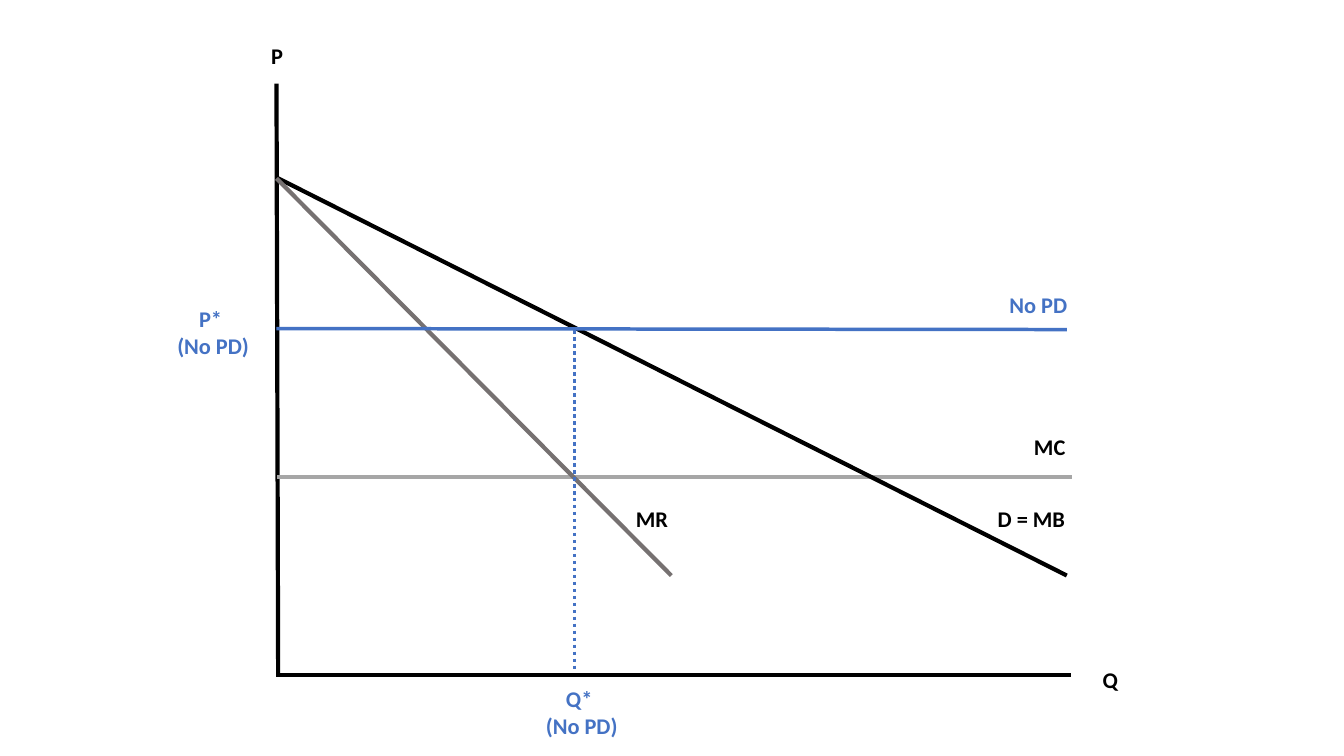
"""Draw a monopoly pricing diagram without price discrimination."""
from lxml import etree
from pptx import Presentation
from pptx.dml.color import RGBColor
from pptx.enum import dml, shapes, text
from pptx.oxml import ns
from pptx.util import Pt

COLOURS = {"black": "000000", "blue": "4472C4", "cost": "A6A6A6",
           "revenue": "767171", "white": "FFFFFF"}


class Diagram:
    """Hold the diagram style and its slide."""

    font, size = "Calibri", 16

    def __init__(self, slide):
        """Keep the slide to draw on."""
        self.slide = slide

    def colour(self, name):
        """Look up a named colour."""
        return RGBColor.from_string(COLOURS[name])

    def line(self, start, end, colour, width=3, dash=None):
        """Draw a straight line between two points."""
        curve = self.slide.shapes.add_connector(
            shapes.MSO_CONNECTOR.STRAIGHT, *map(Pt, start + end))
        curve.line.color.rgb = self.colour(colour)
        curve.line.width = Pt(width)
        if dash:
            curve.line.dash_style = dash
        etree.SubElement(curve._element.spPr, ns.qn("a:effectLst"))

    def label(self, words, box, colour="black", centred=False, fill=None):
        """Write a bold label, one paragraph for each line of words."""
        label = self.slide.shapes.add_textbox(*map(Pt, box))
        if fill:
            label.fill.solid()
            label.fill.fore_color.rgb = self.colour(fill)
        frame = label.text_frame
        frame.word_wrap = True
        frame.auto_size = text.MSO_AUTO_SIZE.SHAPE_TO_FIT_TEXT
        frame.text = words
        for paragraph in frame.paragraphs:
            if centred:
                paragraph.alignment = text.PP_ALIGN.CENTER
            for run in paragraph.runs:
                run.font.name = self.font
                run.font.size = Pt(self.size)
                run.font.bold = True
                run.font.color.rgb = self.colour(colour)


deck = Presentation()
deck.slide_width, deck.slide_height = Pt(960), Pt(540)
diagram = Diagram(deck.slides.add_slide(deck.slide_layouts[6]))

left, right, base = 197.5, 762, 482.4
choke, foot = 127.4, 411.1
price, cost, quantity = 235, 340.6, 410.4

diagram.line((left, 59.8), (198.7, base), "black")
diagram.line((765, base), (left, base), "black")
diagram.line((198, cost), (765.4, cost), "cost", 2.5)
diagram.line((198.7, choke), (right, foot), "black")
diagram.line((left, choke), (479.5, foot), "revenue")
diagram.line((left, 234.7), (right, 235.4), "blue", 2.5)
diagram.line((quantity, price + 1), (quantity, 479.5), "blue", 2.5,
             dml.MSO_LINE.ROUND_DOT)

one_line, two_lines = 26.6, 46
for words, x, y, width in (
        ("MR", 447.1, 357.1, 43.2), ("D = MB", 705.6, 357.1, 72),
        ("MC", 731.5, 306, 43.2), ("P", 186.5, 26.6, 41.8),
        ("Q", 780.5, 472.3, 35.3)):
    diagram.label(words, (x, y, width, one_line))

diagram.label("Q* \n(No PD)", (365.8, 486, 99.4, two_lines), "blue", True)
diagram.label("No PD", (697, 204.5, 89.3, one_line), "blue", True, "white")
diagram.label("P* \n(No PD)", (113, 214.6, 78.5, two_lines), "blue", True, "white")

deck.save("out.pptx")
